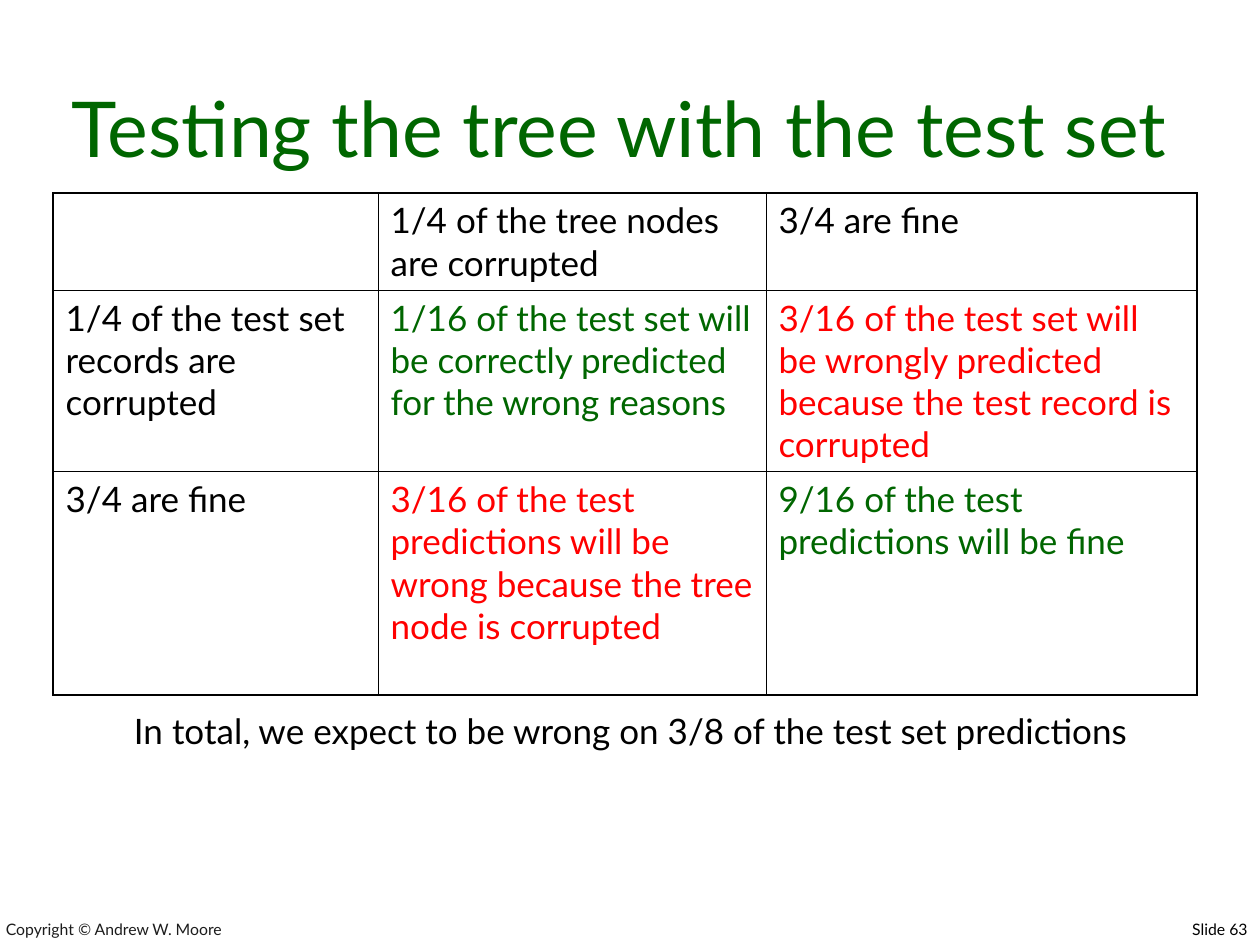
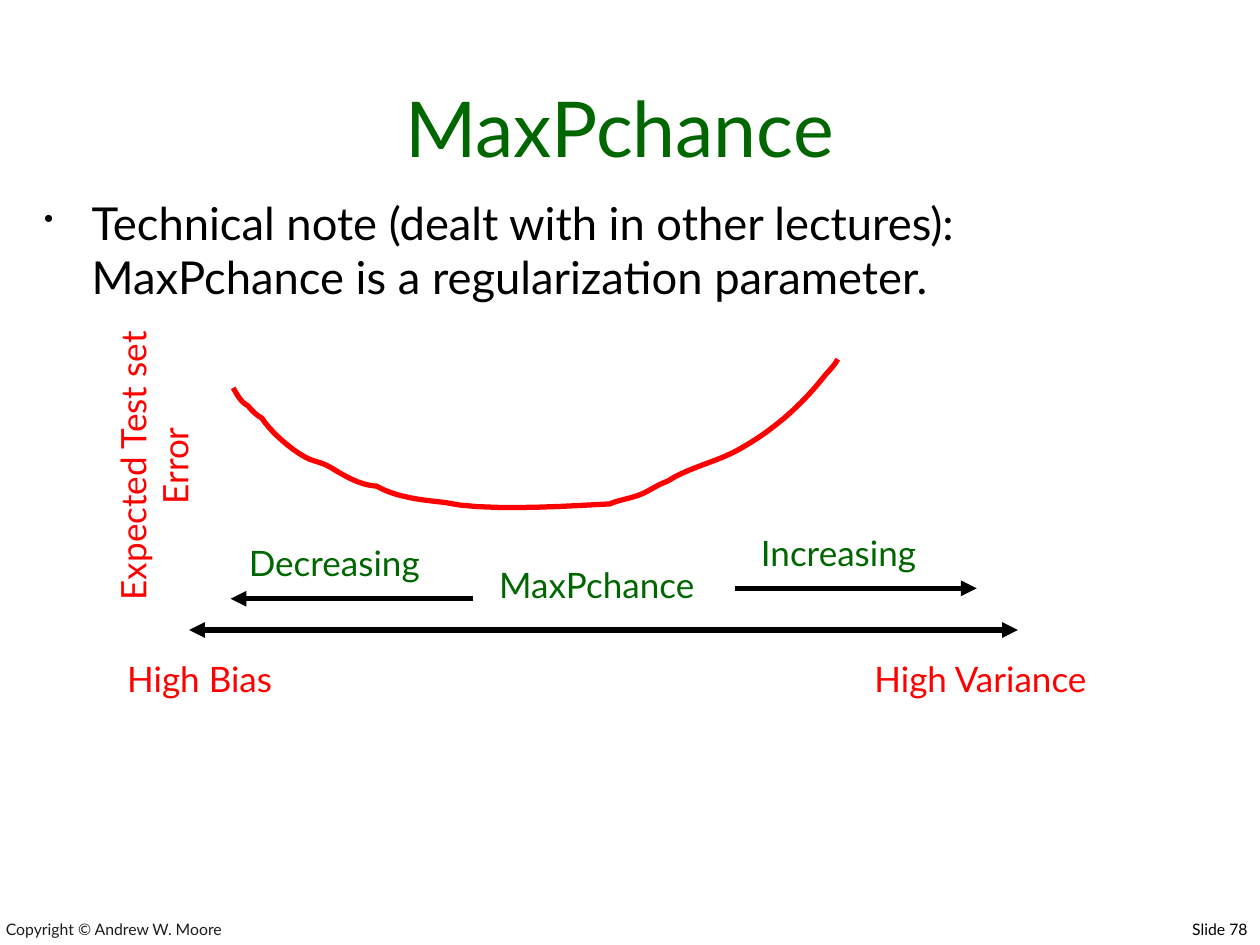
from lxml import etree
from pptx import Presentation
from pptx.dml.color import RGBColor
from pptx.enum.text import MSO_ANCHOR, PP_ALIGN
from pptx.oxml.ns import qn
from pptx.util import Cm, Pt

LEFT, CENTER, RIGHT = PP_ALIGN.LEFT, PP_ALIGN.CENTER, PP_ALIGN.RIGHT
TOP, BOTTOM = MSO_ANCHOR.TOP, MSO_ANCHOR.BOTTOM
FONT = "Lato"
BLACK, INK, GREEN, RED = "000000", "1C1C1C", "006600", "FF0000"


def color(hex_string):
    return RGBColor.from_string(hex_string)


def add_text(page, text, place, size, hue=BLACK, align=CENTER, anchor=TOP, before=0, wrap=True):
    box = page.shapes.add_textbox(*[Cm(length) for length in place])
    frame = box.text_frame
    frame.text = text
    frame.word_wrap = wrap
    frame.vertical_anchor = anchor
    para = frame.paragraphs[0]
    para.alignment = align
    para.space_before = Pt(before)
    span = para.runs[0]
    span.font.name, span.font.size = FONT, Pt(size)
    span.font.color.rgb = color(hue)
    return box


deck = Presentation()
deck.slide_width, deck.slide_height = Cm(25.4), Cm(19.05)

# Shared footer and title
pages = []
for title, number in [("Testing the tree with the test set", 63), ("MaxPchance", 78)]:
    page = deck.slides.add_slide(deck.slide_layouts[6])
    add_text(page, "Copyright © Andrew W. Moore", (-0.13, 18.34, 14.1, 0.71), 9, INK, LEFT, BOTTOM)
    add_text(page, f"Slide {number}", (15.44, 18.42, 9.96, 0.69), 9, align=RIGHT, before=5.6)
    add_text(page, title, (0.64, 0.64, 23.7, 2.97), 44, GREEN, anchor=BOTTOM)
    pages.append(page)
table_page, curve_page = pages

# Table of outcomes
outcomes = [
    [("", BLACK), ("1/4 of the tree nodes are corrupted", BLACK), ("3/4 are fine", BLACK)],
    [("1/4 of the test set records are corrupted", BLACK),
     ("1/16 of the test set will be correctly predicted for the wrong reasons", GREEN),
     ("3/16 of the test set will be wrongly predicted because the test record is corrupted", RED)],
    [("3/4 are fine", BLACK),
     ("3/16 of the test predictions will be wrong because the tree node is corrupted", RED),
     ("9/16 of the test predictions will be fine", GREEN)],
]
widths, heights = [6.55, 7.82, 8.69], [1.96, 3.66, 4.5]
table = table_page.shapes.add_table(
    3, 3, Cm(1.07), Cm(3.89), Cm(sum(widths)), Cm(sum(heights))).table
table.first_row = table.horz_banding = False
for column, width in zip(table.columns, widths):
    column.width = Cm(width)
for row, height in zip(table.rows, heights):
    row.height = Cm(height)

for i, outcome_row in enumerate(outcomes):
    for j, (text, hue) in enumerate(outcome_row):
        cell = table.cell(i, j)
        cell.text_frame.text = text
        cell.fill.background()
        para = cell.text_frame.paragraphs[0]
        para.space_before = Pt(5)
        for span in para.runs:
            span.font.name, span.font.size = FONT, Pt(20)
            span.font.color.rgb = color(hue)
        # Thick outer frame, thin inner grid
        outer_sides = [("a:lnL", j == 0), ("a:lnR", j == 2), ("a:lnT", i == 0), ("a:lnB", i == 2)]
        properties = cell._tc.get_or_add_tcPr()
        for position, (tag, outer) in enumerate(outer_sides):
            border = etree.Element(qn(tag), w=str(Pt(1.08 if outer else 0.45)))
            fill = etree.SubElement(border, qn("a:solidFill"))
            etree.SubElement(fill, qn("a:srgbClr"), val=BLACK)
            properties.insert(position, border)

add_text(table_page, "In total, we expect to be wrong on 3/8 of the test set predictions",
         (1.07, 14.17, 23.29, 1.12), 20, before=12.5)

# Bulleted note
note = add_text(
    curve_page,
    "Technical note (dealt with in other lectures): MaxPchance is a regularization parameter.",
    (0.64, 3.81, 23.83, 2.54), 25.9, align=LEFT, before=7)
properties = note.text_frame.paragraphs[0]._p.get_or_add_pPr()
properties.set("marL", str(Cm(0.96)))
properties.set("indent", str(-Cm(0.96)))
bullet_color = etree.SubElement(properties, qn("a:buClr"))
etree.SubElement(bullet_color, qn("a:srgbClr"), val=BLACK)
etree.SubElement(properties, qn("a:buSzPct"), val="60000")
etree.SubElement(properties, qn("a:buChar"), char="•")

# Arrows: left end, right end, height, arrowheads
arrows = [
    (3.81, 20.52, 12.7, ["a:headEnd", "a:tailEnd"]),
    (14.81, 19.69, 11.86, ["a:tailEnd"]),
    (4.65, 9.53, 12.07, ["a:headEnd"]),
]
for start, end, y, heads in arrows:
    arrow = curve_page.shapes.add_connector(1, Cm(start), Cm(y), Cm(end), Cm(y))
    arrow.line.color.rgb = color(BLACK)
    arrow.line.width = Pt(3)
    for head in heads:
        etree.SubElement(arrow.line._get_or_add_ln(), qn(head), type="triangle")
    etree.SubElement(arrow._element.spPr, qn("a:effectLst"))

# Axis labels
labels = [
    ("High Bias", 2.21, 13.13, 3.63, RED),
    ("High Variance", 17.2, 13.13, 5.13, RED),
    ("MaxPchance", 9.68, 11.23, 4.7, GREEN),
    ("Increasing", 14.91, 10.59, 3.99, GREEN),
    ("Decreasing", 4.62, 10.8, 4.24, GREEN),
]
for text, left, top, width, hue in labels:
    add_text(curve_page, text, (left, top, width, 1.12), 20, hue, wrap=False)
error_label = add_text(curve_page, "Expected Test set Error", (-0.15, 8.41, 6.5, 1.96), 20, RED)
error_label.rotation = 270

# Error curve: each row is two control points and the end of a cubic segment
curve_start = (4.7, 7.82)
segments = [
    [(4.8, 7.98), (4.85, 8.1), (5, 8.18)],
    [(5.08, 8.28), (5.16, 8.36), (5.28, 8.43)],
    [(5.46, 8.71), (5.89, 9.09), (6.22, 9.25)],
    [(6.4, 9.32), (6.5, 9.32), (6.71, 9.45)],
    [(6.96, 9.6), (7.26, 9.78), (7.59, 9.8)],
    [(8, 10.03), (8.51, 10.08), (8.97, 10.13)],
    [(9.83, 10.34), (12.09, 10.16), (12.29, 10.16)],
    [(12.47, 10.08), (12.67, 10.06), (12.88, 9.98)],
    [(13.08, 9.91), (13.23, 9.78), (13.46, 9.7)],
    [(13.89, 9.42), (14.43, 9.32), (14.88, 9.07)],
    [(15.54, 8.71), (16.13, 8.2), (16.59, 7.62)],
    [(16.69, 7.49), (16.81, 7.39), (16.89, 7.24)],
]
STEPS = 10
points = []
knot = curve_start
for first, second, end in segments:
    for step in range(1, STEPS + 1):
        t = step / STEPS
        weights = [(1 - t) ** 3, 3 * t * (1 - t) ** 2, 3 * t ** 2 * (1 - t), t ** 3]
        corners = [knot, first, second, end]
        points.append([Cm(sum(w * corner[axis] for w, corner in zip(weights, corners)))
                       for axis in (0, 1)])
    knot = end
builder = curve_page.shapes.build_freeform(Cm(curve_start[0]), Cm(curve_start[1]))
builder.add_line_segments(points, close=False)
error_curve = builder.convert_to_shape()
error_curve.shadow.inherit = False
error_curve.fill.background()
error_curve.line.color.rgb = color(RED)
error_curve.line.width = Pt(3)

deck.save("out.pptx")
